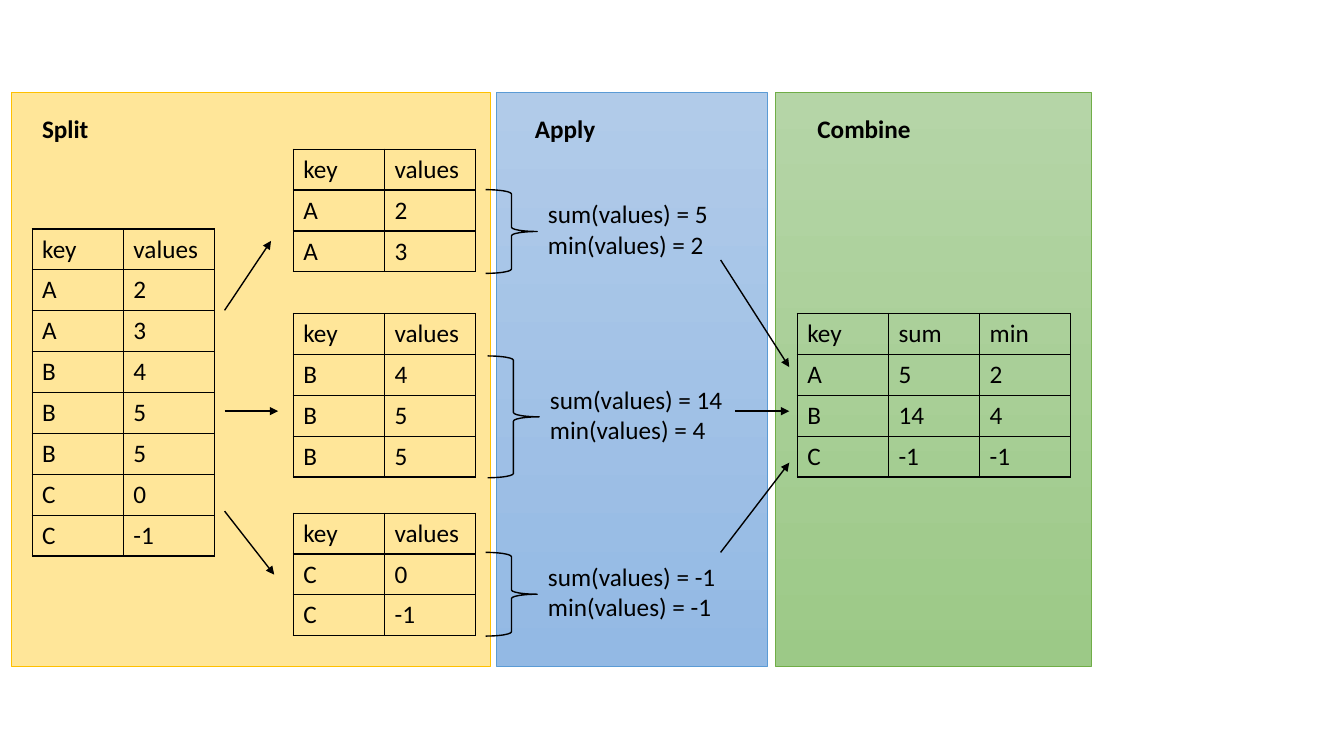
from pptx import Presentation
from pptx.dml.color import RGBColor
from pptx.enum.shapes import MSO_CONNECTOR, MSO_SHAPE
from pptx.enum.text import MSO_AUTO_SIZE
from pptx.oxml.xmlchemy import OxmlElement
from pptx.util import Cm, Pt

RECT = MSO_SHAPE.RECTANGLE
BRACE = MSO_SHAPE.RIGHT_BRACE
LINE = MSO_CONNECTOR.STRAIGHT
FIT = MSO_AUTO_SIZE.SHAPE_TO_FIT_TEXT

BLACK = RGBColor(0x00, 0x00, 0x00)
SAND = RGBColor(0xFF, 0xE6, 0x99)
GOLD = RGBColor(0xFF, 0xC0, 0x00)
SKY = RGBColor(0xB1, 0xCB, 0xE9)
BLUE = RGBColor(0x93, 0xB9, 0xE4)
NAVY = RGBColor(0x5B, 0x9B, 0xD5)
MINT = RGBColor(0xB5, 0xD5, 0xA7)
GREEN = RGBColor(0x9C, 0xC9, 0x87)
MOSS = RGBColor(0x70, 0xAD, 0x47)

FONT = "Calibri"
COL, ROW = 2.3, 1.03
TOP, HIGH = 2.34, 14.45
MID = 10.36

# title, left, width, fill colours, edge, title left, title width
PANELS = [
    ("Split", 0.28, 12.07, [SAND], GOLD, 0.81, 1.7),
    ("Apply", 12.52, 6.81, [SKY, BLUE], NAVY, 13.23, 2.06),
    ("Combine", 19.53, 7.98, [MINT, GREEN], MOSS, 20.35, 2.87),
]
DATA = [("A", 2), ("A", 3), ("B", 4), ("B", 5), ("B", 5), ("C", 0), ("C", -1)]
# key, table top, brace left, top and height, width of the result
GROUPS = [
    ("A", 3.76, 12.24, 4.78, 2.11, 4.6),
    ("B", 7.9, 12.29, 8.97, 3.07, 4.9),
    ("C", 12.93, 12.24, 13.92, 2.11, 4.83),
]
ARROWS = [
    (5.66, 7.82, 6.83, 6.07),
    (5.66, MID, 7.01, MID),
    (5.66, 12.88, 6.91, 14.48),
    (18.16, 6.55, 19.89, 9.25),
    (18.52, MID, 19.89, MID),
    (18.16, 13.92, 19.89, 11.66),
]


def style(frame, bold=False):
    """Set the font of all runs in a text frame."""
    for para in frame.paragraphs:
        for run in para.runs:
            run.font.name = FONT
            run.font.size = Pt(18)
            run.font.bold = bold
            run.font.color.rgb = BLACK


def add_text(slide, text, x, y, w, h, bold=False):
    """Add a text box that does not wrap."""
    box = slide.shapes.add_textbox(Cm(x), Cm(y), Cm(w), Cm(h))
    frame = box.text_frame
    frame.text = text
    frame.word_wrap = False
    frame.auto_size = FIT
    style(frame, bold)


def add_panel(slide, title, x, w, fills, edge, left, wide):
    """Add one stage: a plain or shaded panel and its title."""
    panel = slide.shapes.add_shape(RECT, Cm(x), Cm(TOP), Cm(w), Cm(HIGH))
    panel.shadow.inherit = False
    if len(fills) == 1:
        panel.fill.solid()
        panel.fill.fore_color.rgb = fills[0]
    else:
        panel.fill.gradient()
        panel.fill.gradient_angle = 270
        for stop, color in zip(panel.fill.gradient_stops, fills):
            stop.color.rgb = color
    panel.line.color.rgb = edge
    panel.line.width = Pt(0.5)
    add_text(slide, title, left, 2.74, wide, 1.02, bold=True)


def add_edges(cell):
    """Draw a thin black border on each side of a cell."""
    props = cell._tc.get_or_add_tcPr()
    for i, side in enumerate("LRTB"):
        edge = OxmlElement(f"a:ln{side}")
        edge.set("w", str(Pt(1)))
        fill = OxmlElement("a:solidFill")
        color = OxmlElement("a:srgbClr")
        color.set("val", str(BLACK))
        fill.append(color)
        edge.append(fill)
        props.insert(i, edge)


def add_grid(slide, head, rows, x, y):
    """Add a table with a header row and black rules."""
    lines = [head] + rows
    tall, wide = len(lines), len(head)
    table = slide.shapes.add_table(
        tall, wide, Cm(x), Cm(y), Cm(COL * wide), Cm(ROW * tall)).table
    table.first_row = table.horz_banding = False
    for col in table.columns:
        col.width = Cm(COL)
    for row, line in zip(table.rows, lines):
        row.height = Cm(ROW)
        for cell, value in zip(row.cells, line):
            cell.text_frame.text = str(value)
            style(cell.text_frame)
            cell.fill.background()
            add_edges(cell)


def add_brace(slide, x, y, h):
    """Add a right brace without fill."""
    brace = slide.shapes.add_shape(BRACE, Cm(x), Cm(y), Cm(1.3), Cm(h))
    brace.shadow.inherit = False
    brace.fill.background()
    brace.line.color.rgb = BLACK
    brace.line.width = Pt(1)


def add_arrow(slide, *ends):
    """Add a straight arrow between two points."""
    arrow = slide.shapes.add_connector(LINE, *map(Cm, ends))
    arrow.line.color.rgb = BLACK
    arrow.line.width = Pt(1)
    tip = OxmlElement("a:tailEnd")
    tip.set("type", "triangle")
    arrow.line._get_or_add_ln().append(tip)
    arrow._element.spPr.append(OxmlElement("a:effectLst"))


def main():
    """Build the split, apply and combine slide."""
    deck = Presentation()
    deck.slide_width, deck.slide_height = Cm(33.87), Cm(19.05)
    slide = deck.slides.add_slide(deck.slide_layouts[6])
    for panel in PANELS:
        add_panel(slide, *panel)
    head = ("key", "values")
    add_grid(slide, head, DATA, 0.81, 5.77)
    totals = []
    for key, top, x, y, h, wide in GROUPS:
        rows = [row for row in DATA if row[0] == key]
        nums = [num for _, num in rows]
        total, low = sum(nums), min(nums)
        totals.append((key, total, low))
        add_grid(slide, head, rows, 7.39, top)
        add_brace(slide, x, y, h)
        text = f"sum(values) = {total}\nmin(values) = {low}"
        add_text(slide, text, x + 1.32, y + h / 2 - 0.95, wide, 1.8)
    add_grid(slide, ("key", "sum", "min"), totals, 20.09, 7.9)
    for ends in ARROWS:
        add_arrow(slide, *ends)
    deck.save("out.pptx")


main()
